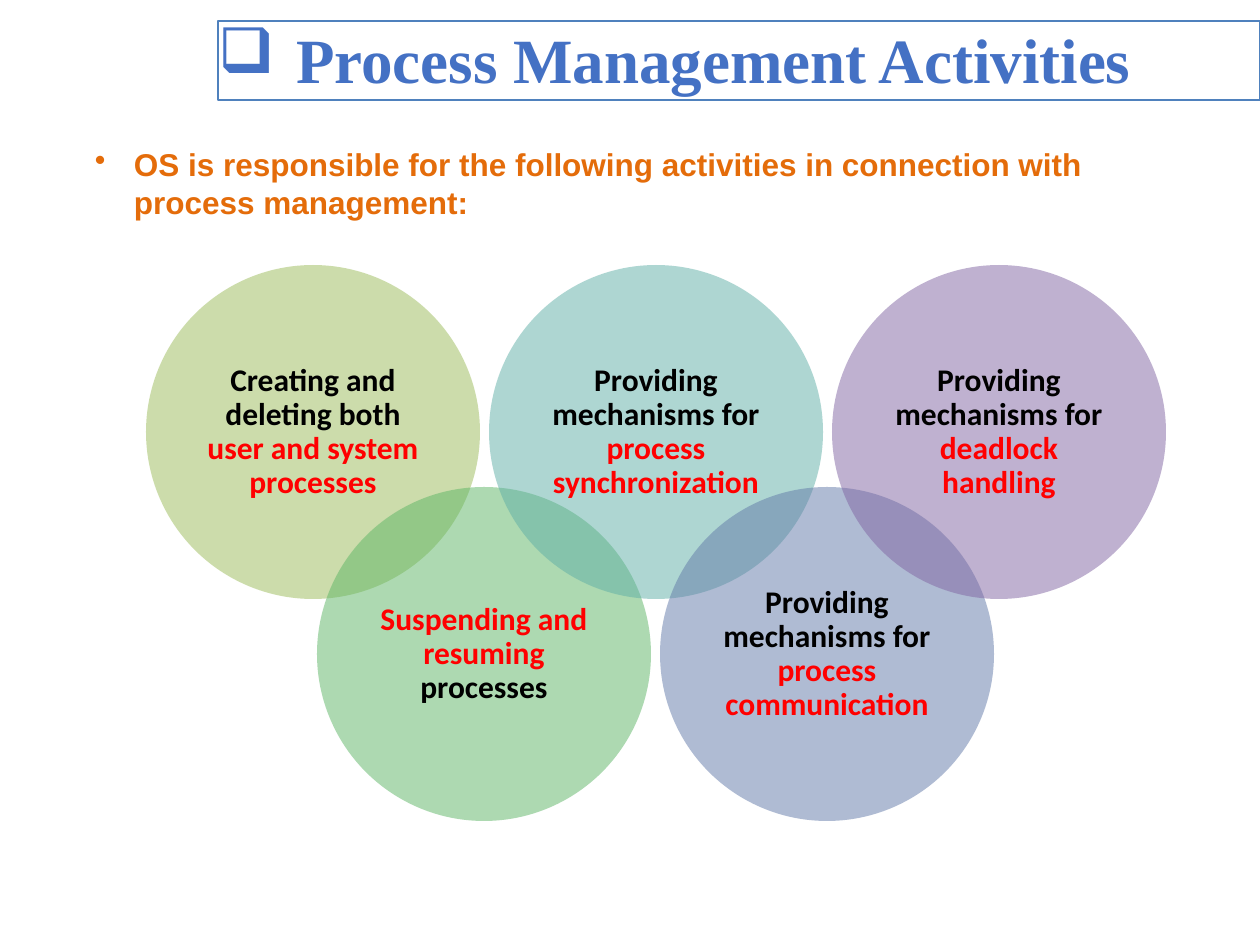
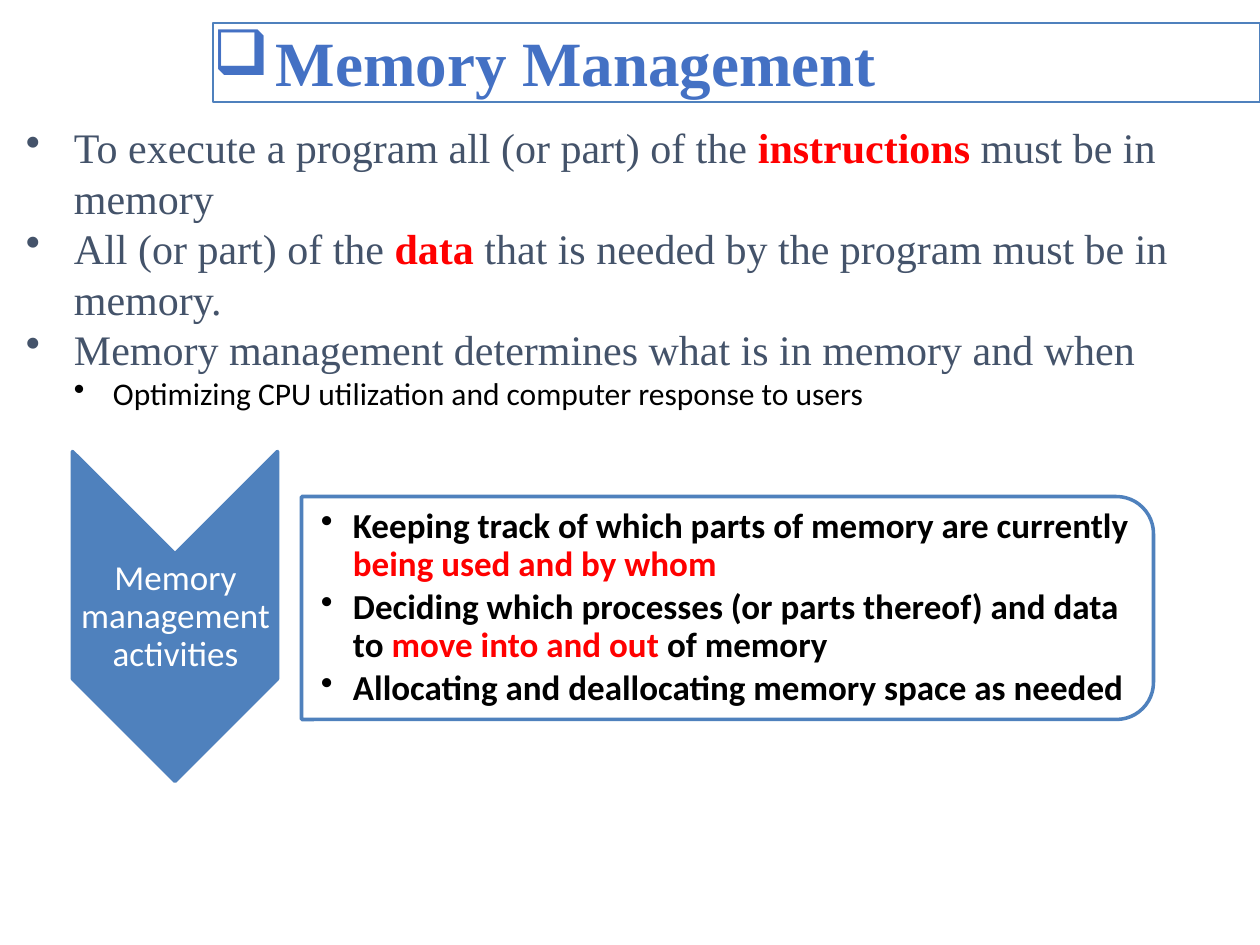
from dataclasses import dataclass

import pptx
import pptx.util
from lxml import etree
from pptx.dml.color import RGBColor
from pptx.enum.shapes import MSO_SHAPE
from pptx.enum.text import MSO_ANCHOR, PP_ALIGN
from pptx.oxml.ns import qn

# Scale, colours and fonts
EMU_PER_PX = 914400 / 126
SLIDE_WIDTH, SLIDE_HEIGHT = 1260, 945

TITLE_BLUE = RGBColor(0x44, 0x71, 0xC4)
ACCENT_BLUE = RGBColor(0x4F, 0x81, 0xBD)
SLATE = RGBColor(0x44, 0x53, 0x6A)
ORANGE = RGBColor(0xE4, 0x6C, 0x0A)
RED = RGBColor(0xFF, 0x00, 0x00)
BLACK = RGBColor(0x00, 0x00, 0x00)
WHITE = RGBColor(0xFF, 0xFF, 0xFF)
OLIVE = RGBColor(0x9B, 0xBB, 0x59)
GREEN = RGBColor(0x5C, 0xB5, 0x65)
TEAL = RGBColor(0x5E, 0xAF, 0xA6)
STEEL = RGBColor(0x61, 0x79, 0xA8)
PURPLE = RGBColor(0x80, 0x64, 0xA2)

SERIF, SANS, BODY = "Times New Roman", "Arial", "Calibri"


@dataclass(frozen=True)
class Box:
    left: int
    top: int
    width: int
    height: int

    def emu(self) -> list[int]:
        return [px(v) for v in (self.left, self.top, self.width, self.height)]


@dataclass(frozen=True)
class Run:
    text: str
    color: RGBColor | None = None
    bold: bool | None = None


@dataclass(frozen=True)
class Activity:
    color: RGBColor
    runs: tuple[Run, ...]


def px(length: float) -> int:
    return round(length * EMU_PER_PX)


# Shared drawing functions
def set_frame(shape, *, insets=(0, 0, 0, 0), anchor=MSO_ANCHOR.TOP):
    frame = shape.text_frame
    frame.word_wrap = True
    frame.vertical_anchor = anchor
    (frame.margin_left, frame.margin_top,
     frame.margin_right, frame.margin_bottom) = map(px, insets)
    return frame


def add_text(frame, *runs: Run, font: str = BODY, size: int = 18,
             color: RGBColor = BLACK, bold: bool = False,
             align=PP_ALIGN.LEFT, bullet: str = "", indent: int = 0,
             hanging: int = 0, line_spacing: float = 1.0,
             space_after: int = 0) -> None:
    """Write one paragraph; a run may override the colour and the weight."""
    paragraph = frame.paragraphs[-1]
    if paragraph.runs:
        paragraph = frame.add_paragraph()
    paragraph.alignment = align
    paragraph.line_spacing = line_spacing
    paragraph.space_after = pptx.util.Pt(space_after)
    if bullet:
        properties = paragraph._p.get_or_add_pPr()
        properties.set("marL", str(px(indent)))
        properties.set("indent", str(-px(hanging)))
        etree.SubElement(properties, qn("a:buChar")).set("char", bullet)
    for part in runs:
        run = paragraph.add_run()
        run.text = part.text
        run.font.name = font
        run.font.size = pptx.util.Pt(size)
        run.font.bold = bold if part.bold is None else part.bold
        run.font.color.rgb = part.color or color


def add_shape(slide, preset, box: Box, *, fill: RGBColor | None = None,
              opacity: int = 100, line: RGBColor | None = None,
              line_width: float = 2, rotation: int = 0):
    shape = slide.shapes.add_shape(preset, *box.emu())
    shape.shadow.inherit = False
    shape.rotation = rotation
    if fill is None:
        shape.fill.background()
    else:
        shape.fill.solid()
        shape.fill.fore_color.rgb = fill
        if opacity < 100:
            solid = shape._element.spPr.find(qn("a:solidFill"))
            etree.SubElement(solid[0], qn("a:alpha")).set("val", str(opacity * 1000))
    if line is None:
        shape.line.fill.background()
    else:
        shape.line.color.rgb = line
        shape.line.width = pptx.util.Pt(line_width)
    return shape


def add_text_box(slide, box: Box, **frame_format):
    return set_frame(slide.shapes.add_textbox(*box.emu()), **frame_format)


def add_title(slide, text: str, box: Box, hanging: int) -> None:
    banner = add_shape(slide, MSO_SHAPE.RECTANGLE, box, line=ACCENT_BLUE, line_width=0.75)
    add_text(set_frame(banner), Run(text), font=SERIF, size=36, color=TITLE_BLUE,
             bold=True, bullet="❑", indent=hanging, hanging=hanging)


# Slide 1: process management
ACTIVITIES = (
    Activity(OLIVE, (Run("Creating and deleting both "),
                     Run("user and system processes", RED))),
    Activity(GREEN, (Run("Suspending and resuming ", RED), Run("processes"))),
    Activity(TEAL, (Run("Providing mechanisms for "),
                    Run("process synchronization", RED))),
    Activity(STEEL, (Run("Providing mechanisms for "),
                     Run("process communication", RED))),
    Activity(PURPLE, (Run("Providing mechanisms for "),
                      Run("deadlock handling", RED))),
)
CIRCLE_SIZE = 334
CIRCLE_LEFT, CIRCLE_PITCH = 146, 343
ROW_TOPS = (265, 487)


def build_process_slide(slide) -> None:
    add_title(slide, "Process Management Activities", Box(218, 21, 1042, 79), 78)

    # Circles alternate between the upper and the lower row
    for index, activity in enumerate(ACTIVITIES):
        box = Box(CIRCLE_LEFT + index * CIRCLE_PITCH // 2, ROW_TOPS[index % 2],
                  CIRCLE_SIZE, CIRCLE_SIZE)
        circle = add_shape(slide, MSO_SHAPE.OVAL, box, fill=activity.color, opacity=50)
        label = set_frame(circle, insets=(9, 9, 9, 9), anchor=MSO_ANCHOR.MIDDLE)
        add_text(label, *activity.runs, bold=True, align=PP_ALIGN.CENTER,
                 line_spacing=0.9)

    intro = add_text_box(slide, Box(82, 139, 1096, 88), insets=(13, 6, 13, 6))
    add_text(intro, Run("OS is responsible for the following activities in "
                        "connection with process management:"),
             font=SANS, color=ORANGE, bold=True, bullet="•", indent=39, hanging=39)


# Slide 2: memory management
MEMORY_FACTS = (
    (Run("To execute a program all (or part) of the "),
     Run("instructions", RED, True), Run(" must be in memory")),
    (Run("All (or part) of the "), Run("data", RED, True),
     Run(" that is needed by the program must be in memory.")),
    (Run("Memory management determines what is in memory and when"),),
)
MEMORY_ACTIVITIES = (
    (Run("Keeping track of which parts of memory are currently "),
     Run("being used and by whom", RED)),
    (Run("Deciding which processes (or parts thereof) and data to "),
     Run("move into and out ", RED), Run("of memory")),
    (Run("Allocating and deallocating memory space as needed"),),
)


def build_memory_slide(slide) -> None:
    add_title(slide, "Memory Management", Box(213, 23, 1047, 79), 63)

    facts = add_text_box(slide, Box(26, 122, 1210, 292))
    for runs in MEMORY_FACTS:
        add_text(facts, *runs, font=SERIF, size=24, color=SLATE,
                 bullet="•", indent=48, hanging=48)
    add_text(facts, Run("Optimizing CPU utilization and computer response to users"),
             bullet="•", indent=87, hanging=39)

    # Chevron pointing down, with its label
    add_shape(slide, MSO_SHAPE.CHEVRON, Box(10, 514, 330, 205),
              fill=ACCENT_BLUE, line=ACCENT_BLUE, rotation=90)
    label = add_text_box(slide, Box(73, 554, 205, 126), insets=(1, 1, 1, 1),
                         anchor=MSO_ANCHOR.MIDDLE)
    add_text(label, Run("Memory management activities"), size=20, color=WHITE,
             align=PP_ALIGN.CENTER, line_spacing=0.9)

    # Panel rounded on the right, with the list of activities
    add_shape(slide, MSO_SHAPE.ROUND_2_SAME_RECTANGLE, Box(616, 182, 223, 852),
              fill=WHITE, opacity=90, line=ACCENT_BLUE, rotation=90)
    activities = add_text_box(slide, Box(301, 508, 842, 200), insets=(20, 1, 1, 1),
                              anchor=MSO_ANCHOR.MIDDLE)
    for runs in MEMORY_ACTIVITIES:
        add_text(activities, *runs, size=20, bold=True, bullet="•", indent=32,
                 hanging=32, line_spacing=0.9, space_after=3)


def main() -> None:
    deck = pptx.Presentation()
    deck.slide_width, deck.slide_height = px(SLIDE_WIDTH), px(SLIDE_HEIGHT)
    blank = deck.slide_layouts[6]
    for build in (build_process_slide, build_memory_slide):
        build(deck.slides.add_slide(blank))
    deck.save("out.pptx")


if __name__ == "__main__":
    main()
